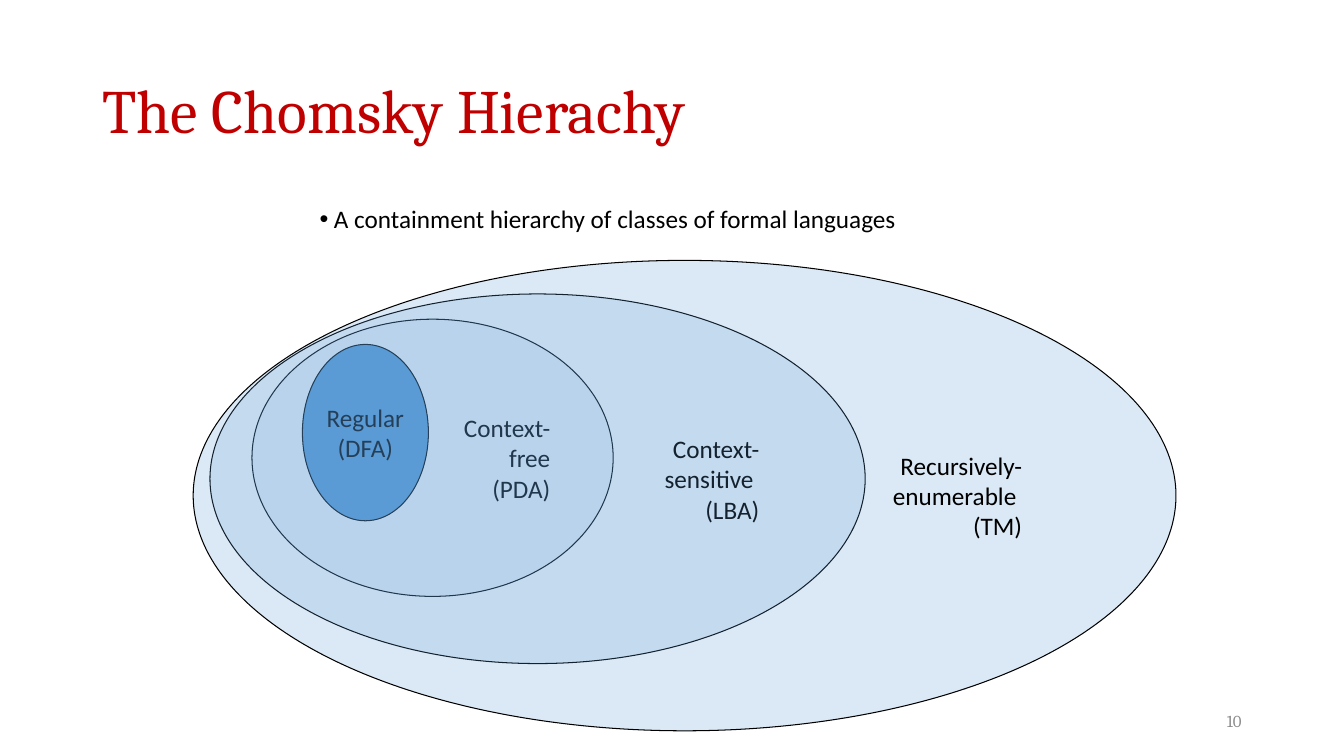
from pptx import Presentation, util as u
from pptx.dml.color import RGBColor
from pptx.enum import shapes, text
from pptx.oxml import parse_xml
from pptx.oxml.ns import nsdecls

COLUMNS, ROWS = 160, 90
CELL = u.Inches(1) / 12
BLACK, RED, GREY, BLUE = "000000", "C00000", "8C8C8C", "5B9BD5"

# Innermost class first: the larger, translucent ones lie over it.
# (label, grid box, opacity in percent, alignment); \v breaks a line.
CLASSES = [
    ("Regular\n(DFA)", (36, 41, 15, 21), 100, text.PP_ALIGN.CENTER),
    ("Context-\vfree\n(PDA)", (30, 38, 43, 33), 9, text.PP_ALIGN.RIGHT),
    ("Context-\vsensitive \v(LBA)", (25, 35, 78, 44), 18, text.PP_ALIGN.RIGHT),
    ("Recursively-\venumerable \v(TM)", (23, 31, 117, 56), 22, text.PP_ALIGN.RIGHT),
]


def cells(box):
    return [round(length * CELL) for length in box]


def rgb(value):
    return RGBColor.from_string(value)


def place(shape, box):
    for name, value in zip(("left", "top", "width", "height"), cells(box)):
        setattr(shape, name, value)


def write(shape, words, font, size, color, frame_format, paragraph_format):
    frame = shape.text_frame
    frame.text = words
    for name, value in frame_format.items():
        setattr(frame, name, value)
    for paragraph in frame.paragraphs:
        for name, value in paragraph_format.items():
            setattr(paragraph, name, value)
        for run in paragraph.runs:
            run.font.name, run.font.size = font, u.Pt(size)
            run.font.color.rgb = rgb(color)


def add_title(slide, box):
    title = slide.shapes.title
    place(title, box)
    write(title, "The Chomsky Hierachy", "Cambria", 44, RED,
          {"vertical_anchor": text.MSO_ANCHOR.MIDDLE, "word_wrap": True,
           "auto_size": text.MSO_AUTO_SIZE.NONE},
          {"alignment": text.PP_ALIGN.LEFT, "line_spacing": 0.9})


def add_definition(slide, box):
    body = slide.placeholders[1]
    place(body, box)
    write(body, " A containment hierarchy of classes of formal languages",
          "Calibri", 18, BLACK,
          {"vertical_anchor": text.MSO_ANCHOR.TOP, "word_wrap": False,
           "auto_size": text.MSO_AUTO_SIZE.SHAPE_TO_FIT_TEXT},
          {"alignment": text.PP_ALIGN.LEFT, "space_before": u.Pt(0)})
    properties = body.text_frame.paragraphs[0]._p.get_or_add_pPr()
    properties.set("marL", "0")
    properties.set("indent", "0")
    for bullet in ('<a:buFont {} typeface="Arial"/>', '<a:buChar {} char="•"/>'):
        properties.append(parse_xml(bullet.format(nsdecls("a"))))


def add_language_class(slide, label, box, opacity, alignment):
    ellipse = slide.shapes.add_shape(shapes.MSO_SHAPE.OVAL, *cells(box))
    ellipse.shadow.inherit = False
    ellipse.fill.solid()
    ellipse.fill.fore_color.rgb = rgb(BLUE)
    if opacity < 100:
        color = ellipse.fill._xPr.solidFill[0]
        color.append(parse_xml(f'<a:alpha {nsdecls("a")} val="{opacity * 1000}"/>'))
    ellipse.line.color.rgb = rgb(BLACK)
    ellipse.line.width = u.Pt(0.75)
    write(ellipse, label, "Calibri", 18, BLACK,
          {"vertical_anchor": text.MSO_ANCHOR.MIDDLE, "word_wrap": False},
          {"alignment": alignment})


def add_page_number(slide, box):
    number = slide.shapes.add_textbox(*cells(box))
    write(number, "10", "Cambria", 12, GREY,
          {"vertical_anchor": text.MSO_ANCHOR.MIDDLE, "word_wrap": True},
          {"alignment": text.PP_ALIGN.RIGHT})


def main():
    deck = Presentation()
    deck.slide_width, deck.slide_height = cells((COLUMNS, ROWS))
    slide = deck.slides.add_slide(deck.slide_layouts[1])
    add_title(slide, (11, 4.8, 138, 17.4))
    add_definition(slide, (36.84, 23.64, 72.24, 4.8))
    for language_class in CLASSES:
        add_language_class(slide, *language_class)
    add_page_number(slide, (113, 83.4, 36, 4.8))
    deck.save("out.pptx")


if __name__ == "__main__":
    main()
